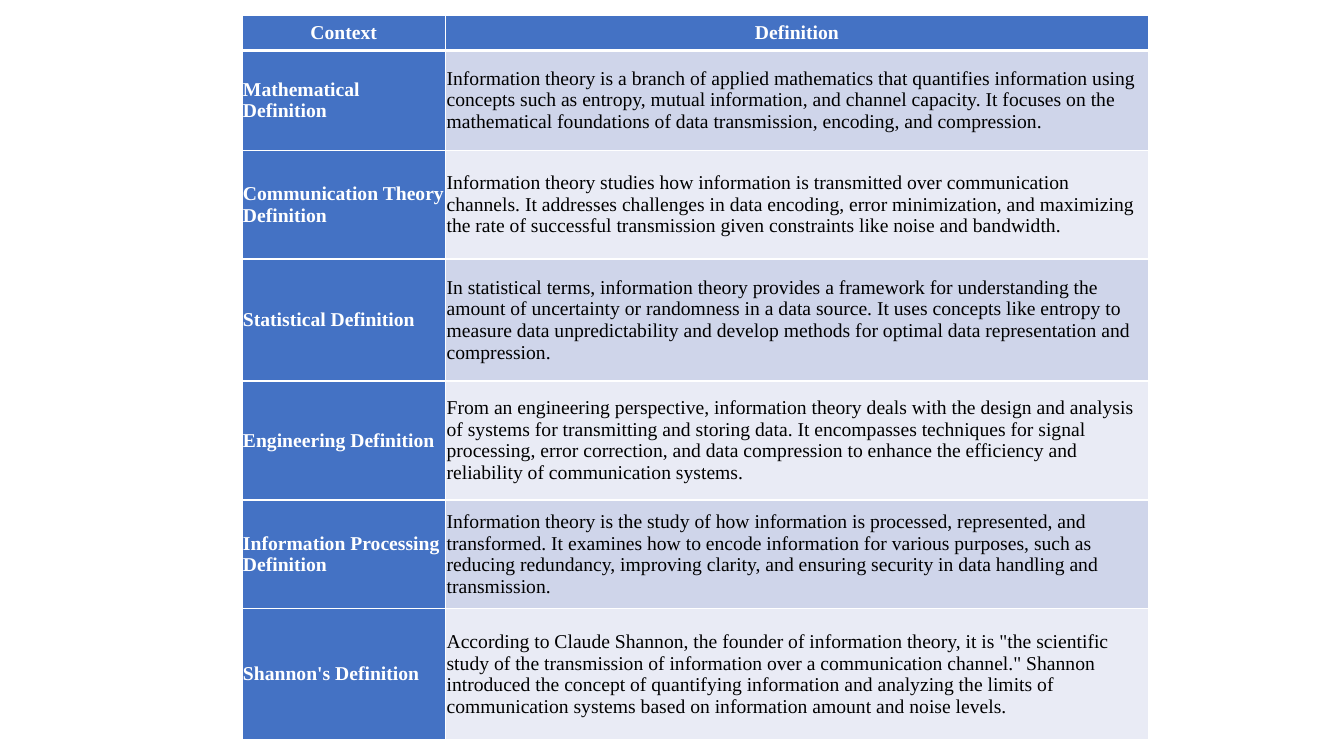
import dataclasses

import lxml.etree
import pptx
import pptx.dml.color
import pptx.enum.text
import pptx.oxml.ns
import pptx.table
import pptx.util

EMU_PER_PX = 9144
SLIDE_SIZE = (1333, 750)
TABLE_ORIGIN = (240, 15)
COLUMN_WIDTHS = (202, 697)
CELL_MARGIN = 1
FONT = {"name": "Times New Roman", "size": pptx.util.Pt(14)}
COLOURS = {
    "heading": "4472C4",
    "odd band": "CFD5EA",
    "even band": "E9EBF5",
    "white": "FFFFFF",
    "black": "000000",
}
CENTER = pptx.enum.text.PP_ALIGN.CENTER
LEFT = pptx.enum.text.PP_ALIGN.LEFT


@dataclasses.dataclass(frozen=True)
class DefinitionRow:
    height: int
    context: str
    definition: str


ROWS = (
    DefinitionRow(35, "Context", "Definition"),
    DefinitionRow(
        99,
        "Mathematical Definition",
        "Information theory is a branch of applied mathematics that quantifies information "
        "using concepts such as entropy, mutual information, and channel capacity. It focuses "
        "on the mathematical foundations of data transmission, encoding, and compression.",
    ),
    DefinitionRow(
        108,
        "Communication Theory Definition",
        "Information theory studies how information is transmitted over communication channels. "
        "It addresses challenges in data encoding, error minimization, and maximizing the rate "
        "of successful transmission given constraints like noise and bandwidth.",
    ),
    DefinitionRow(
        121,
        "Statistical Definition",
        "In statistical terms, information theory provides a framework for understanding the "
        "amount of uncertainty or randomness in a data source. It uses concepts like entropy to "
        "measure data unpredictability and develop methods for optimal data representation and "
        "compression.",
    ),
    DefinitionRow(
        118,
        "Engineering Definition",
        "From an engineering perspective, information theory deals with the design and analysis "
        "of systems for transmitting and storing data. It encompasses techniques for signal "
        "processing, error correction, and data compression to enhance the efficiency and "
        "reliability of communication systems.",
    ),
    DefinitionRow(
        108,
        "Information Processing Definition",
        "Information theory is the study of how information is processed, represented, and "
        "transformed. It examines how to encode information for various purposes, such as "
        "reducing redundancy, improving clarity, and ensuring security in data handling and "
        "transmission.",
    ),
    DefinitionRow(
        130,
        "Shannon's Definition",
        "According to Claude Shannon, the founder of information theory, it is \"the scientific "
        "study of the transmission of information over a communication channel.\" Shannon "
        "introduced the concept of quantifying information and analyzing the limits of "
        "communication systems based on information amount and noise levels.",
    ),
)


def px(length: int) -> pptx.util.Emu:
    return pptx.util.Emu(length * EMU_PER_PX)


def colour(name: str) -> pptx.dml.color.RGBColor:
    return pptx.dml.color.RGBColor.from_string(COLOURS[name])


def draw_borders(cell: pptx.table._Cell, widths: dict[str, int]) -> None:
    qn = pptx.oxml.ns.qn
    properties = cell._tc.get_or_add_tcPr()
    for side, width in widths.items():
        line = lxml.etree.SubElement(properties, qn(f"a:ln{side}"), w=str(pptx.util.Pt(width)))
        fill = lxml.etree.SubElement(line, qn("a:solidFill"))
        lxml.etree.SubElement(fill, qn("a:srgbClr"), val=COLOURS["white"])


def draw_cell(cell: pptx.table._Cell, text: str, row: int, column: int) -> None:
    is_heading = row == 0 or column == 0
    cell_format = {
        "vertical_anchor": pptx.enum.text.MSO_ANCHOR.MIDDLE,
        **{f"margin_{side}": px(CELL_MARGIN) for side in ("left", "right", "top", "bottom")},
    }
    for name, value in cell_format.items():
        setattr(cell, name, value)

    draw_borders(cell, {"L": 1, "R": 1, "T": 3 if row == 1 else 1, "B": 3 if row == 0 else 1})
    band = "odd band" if row % 2 else "even band"
    cell.fill.solid()
    cell.fill.fore_color.rgb = colour("heading" if is_heading else band)

    para = cell.text_frame.paragraphs[0]
    para.alignment = CENTER if row == 0 else LEFT
    span = para.add_run()
    span.text = text
    for name, value in {**FONT, "bold": is_heading}.items():
        setattr(span.font, name, value)
    span.font.color.rgb = colour("white" if is_heading else "black")


def main() -> None:
    deck = pptx.Presentation()
    deck.slide_width, deck.slide_height = map(px, SLIDE_SIZE)
    page = deck.slides.add_slide(deck.slide_layouts[6])

    size = (sum(COLUMN_WIDTHS), sum(entry.height for entry in ROWS))
    frame = page.shapes.add_table(
        len(ROWS), len(COLUMN_WIDTHS), *map(px, TABLE_ORIGIN + size)
    )
    table = frame.table
    for column, width in zip(table.columns, COLUMN_WIDTHS):
        column.width = px(width)
    for row, entry in enumerate(ROWS):
        table.rows[row].height = px(entry.height)
        for column, text in enumerate((entry.context, entry.definition)):
            draw_cell(table.cell(row, column), text, row, column)

    deck.save("out.pptx")


if __name__ == "__main__":
    main()
